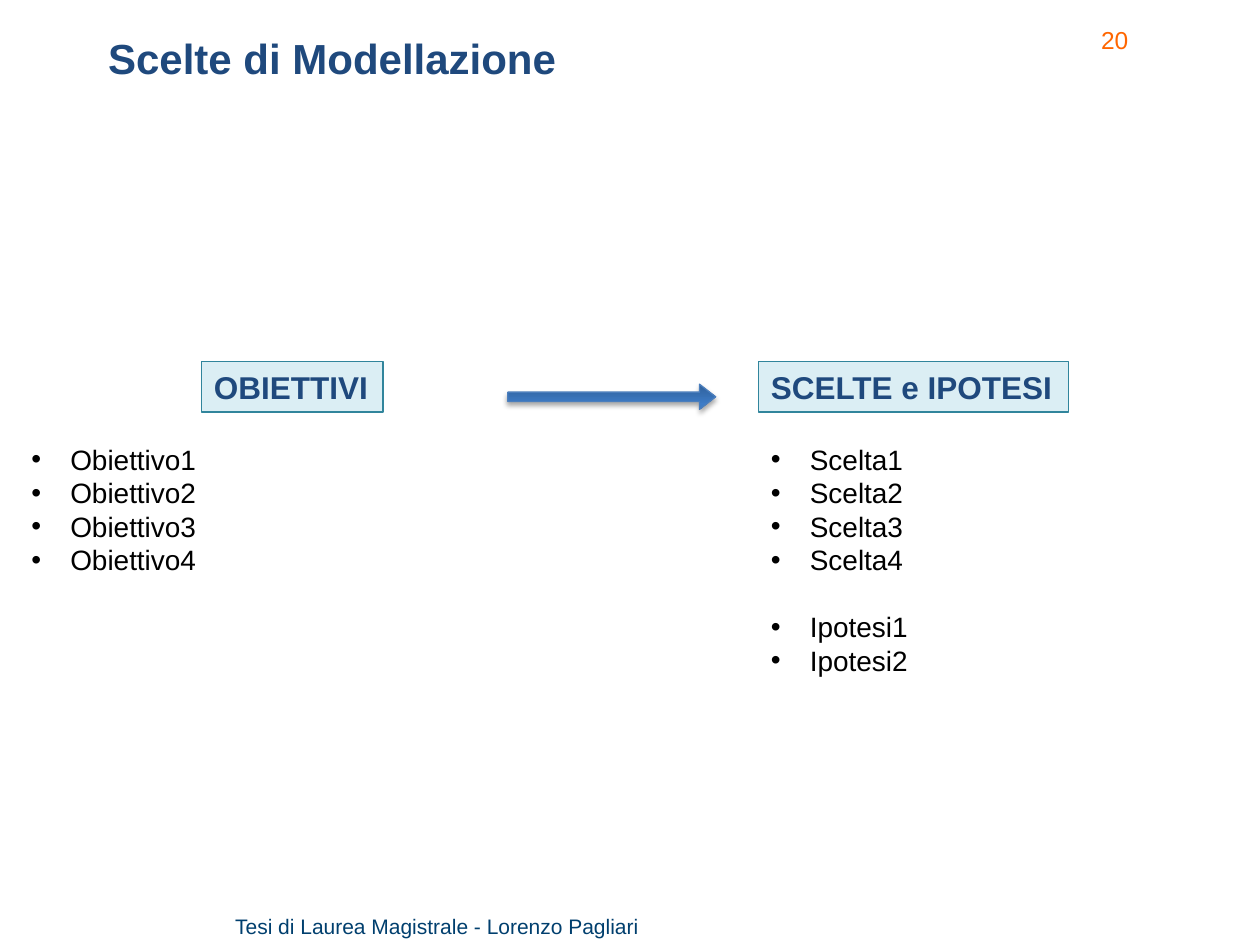
from lxml import etree
from pptx import Presentation, util as u
from pptx.dml.color import RGBColor
from pptx.enum import shapes, text
from pptx.oxml import parse_xml
from pptx.oxml.ns import nsdecls, qn

# Content
TITLE = "Scelte di Modellazione"
PAGE = "20"
FOOTER = "Tesi di Laurea Magistrale - Lorenzo Pagliari"
# heading, heading left and width, list left and width, groups of bullets
COLUMNS = [
    ("OBIETTIVI", (1.6, 1.44), (0.15, 4.32),
     [["Obiettivo1", "Obiettivo2", "Obiettivo3", "Obiettivo4"]]),
    ("SCELTE e IPOTESI", (6.02, 2.46), (6.02, 3.87),
     [["Scelta1", "Scelta2", "Scelta3", "Scelta4"], ["Ipotesi1", "Ipotesi2"]]),
]

# Style
FONT = "Arial"
COLOURS = {"title": "1F497D", "page": "FF6600", "footer": "003F6E", "body": "000000",
           "box": "DBEEF4", "box_line": "31859C", "arrow_line": "4B7EBC"}
ARROW_STOPS = [(0, "2F5F99"), (80, "3D7CC7"), (100, "3A7CCB")]
HEADING_TOP, HEADING_HEIGHT = 2.87, 0.4
LIST_TOP, LINE_HEIGHT, INSET = 3.46, 0.27, 0.05
BULLET_INDENT, GROUP_GAP = 0.31, 19

presentation = Presentation()
presentation.slide_width, presentation.slide_height = u.Inches(10), u.Inches(7.5)
slide = presentation.slides.add_slide(presentation.slide_layouts[6])


def colour(name):
    return RGBColor.from_string(COLOURS[name])


def add_run(paragraph, words, size, colour_name, bold=False):
    run = paragraph.add_run()
    run.text = words
    font = run.font
    font.name, font.size, font.bold = FONT, u.Pt(size), bold
    font.color.rgb = colour(colour_name)


def add_box(left, top, width, height):
    box = slide.shapes.add_textbox(*map(u.Inches, (left, top, width, height)))
    box.text_frame.word_wrap = True
    return box.text_frame


def add_preset(kind, left, top, width, height, line):
    shape = slide.shapes.add_shape(kind, *map(u.Inches, (left, top, width, height)))
    shape.shadow.inherit = False
    shape.line.color.rgb = colour(line)
    shape.line.width = u.Pt(0.75)
    return shape


def add_heading(words, left, width):
    shape = add_preset(shapes.MSO_SHAPE.RECTANGLE, left, HEADING_TOP, width,
                       HEADING_HEIGHT, "box_line")
    shape.fill.solid()
    shape.fill.fore_color.rgb = colour("box")
    frame = shape.text_frame
    frame.word_wrap = False
    frame.vertical_anchor = text.MSO_ANCHOR.TOP
    frame.paragraphs[0].alignment = text.PP_ALIGN.LEFT
    add_run(frame.paragraphs[0], words, 18, "title", bold=True)


def add_bullets(groups, left, width):
    lines = sum(map(len, groups)) + len(groups) - 1
    frame = add_box(left, LIST_TOP, width, lines * LINE_HEIGHT + 2 * INSET)
    paragraph = frame.paragraphs[0]
    for group_number, group in enumerate(groups):
        for item_number, item in enumerate(group):
            if group_number or item_number:
                paragraph = frame.add_paragraph()
            if group_number and not item_number:
                paragraph.space_before = u.Pt(GROUP_GAP)
            properties = paragraph._p.get_or_add_pPr()
            properties.set("marL", str(u.Inches(BULLET_INDENT)))
            properties.set("indent", str(-u.Inches(BULLET_INDENT)))
            etree.SubElement(properties, qn("a:buFont")).set("typeface", FONT)
            etree.SubElement(properties, qn("a:buChar")).set("char", "•")
            add_run(paragraph, item, 16, "body")


def add_arrow(left, top, width, height):
    arrow = add_preset(shapes.MSO_SHAPE.RIGHT_ARROW, left, top, width, height, "arrow_line")
    arrow.adjustments[0], arrow.adjustments[1] = 0.374, 0.64
    properties = arrow._element.spPr
    properties.find(qn("a:xfrm")).set("flipV", "1")
    # Three-stop gradient and soft shadow
    stops = "".join(f'<a:gs pos="{position * 1000}"><a:srgbClr val="{value}"/></a:gs>'
                    for position, value in ARROW_STOPS)
    properties.find(qn("a:ln")).addprevious(parse_xml(
        f'<a:gradFill {nsdecls("a")} rotWithShape="1"><a:gsLst>{stops}</a:gsLst>'
        '<a:lin ang="16200000" scaled="0"/></a:gradFill>'))
    properties.find(qn("a:effectLst")).append(parse_xml(
        f'<a:outerShdw {nsdecls("a")} blurRad="{u.Pt(3.1)}" dist="{u.Pt(1.8)}" dir="5400000" '
        'rotWithShape="0"><a:srgbClr val="000000"><a:alpha val="35000"/></a:srgbClr>'
        '</a:outerShdw>'))


# Page number and footer
add_run(add_box(8.64, 0.15, 0.55, 0.34).paragraphs[0], PAGE, 14, "page")
footer = add_box(0.25, 7.2, 4.92, 0.3).paragraphs[0]
footer.alignment = text.PP_ALIGN.RIGHT
add_run(footer, FOOTER, 12, "footer")

# Title
title = add_box(0.76, 0.18, 7.72, 0.56)
title.vertical_anchor = text.MSO_ANCHOR.MIDDLE
add_run(title.paragraphs[0], TITLE, 24, "title", bold=True)

# Columns and the arrow between them
for heading, heading_span, list_span, groups in COLUMNS:
    add_heading(heading, *heading_span)
    add_bullets(groups, *list_span)
add_arrow(4.03, 3.05, 1.65, 0.2)

presentation.save("out.pptx")
